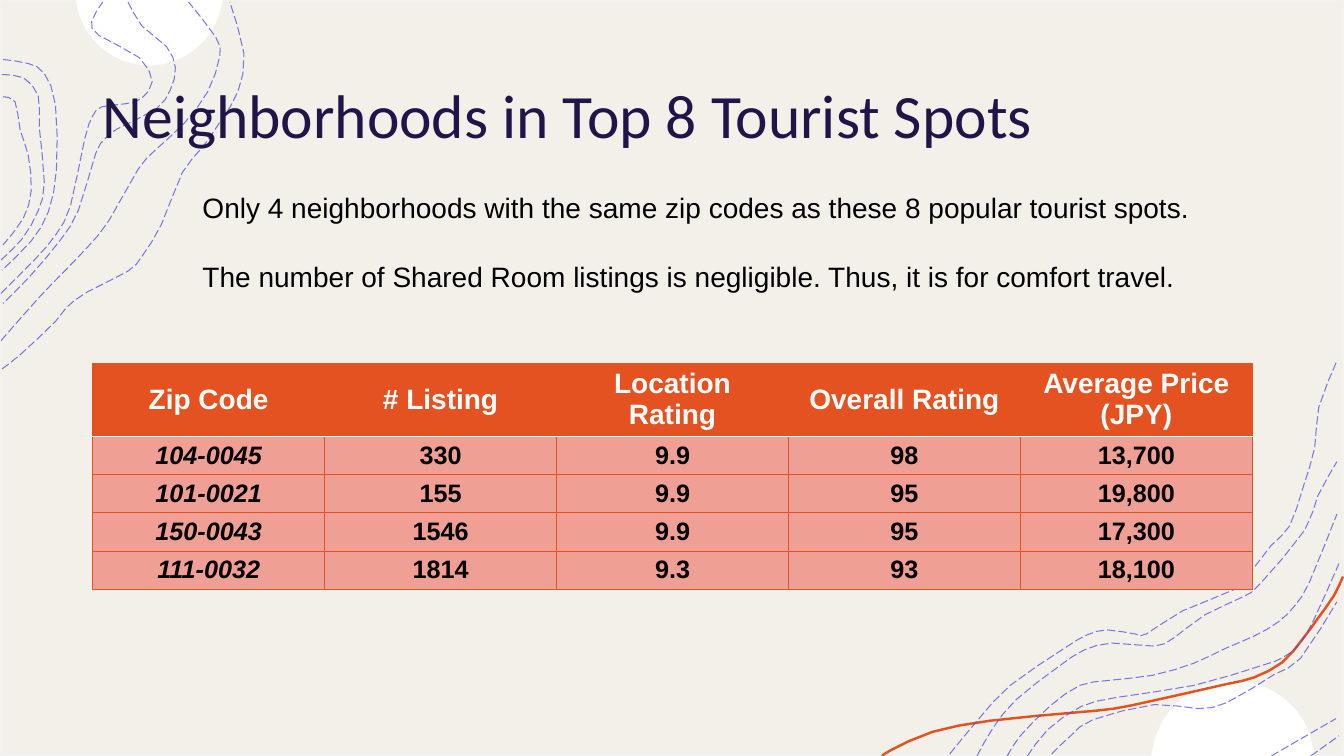
from dataclasses import dataclass
from math import cos, radians, sin
from typing import Optional

from lxml.etree import SubElement
from pptx import Presentation
from pptx.dml.color import RGBColor
from pptx.enum.dml import MSO_LINE_DASH_STYLE as DASH
from pptx.enum.shapes import MSO_SHAPE as SHAPE
from pptx.enum.text import MSO_ANCHOR as ANCHOR, PP_ALIGN as ALIGN
from pptx.oxml import parse_xml
from pptx.oxml.ns import nsdecls, qn
from pptx.util import Inches, Pt

Point = tuple[float, float]

WIDTH, HEIGHT = 13.33, 7.5
CREAM = RGBColor(0xF3, 0xF0, 0xE9)
PALE_GREY = RGBColor(0xF2, 0xF2, 0xF2)
WHITE = RGBColor(0xFF, 0xFF, 0xFF)
BLACK = RGBColor(0, 0, 0)
ORANGE = RGBColor(0xE4, 0x52, 0x21)
SALMON = RGBColor(0xEF, 0x9F, 0x94)
NAVY = RGBColor(0x20, 0x14, 0x49)
VIOLET = RGBColor(0x4D, 0x4E, 0xE6)


@dataclass
class Disc:
    """The half of a disc that begins at an angle in degrees."""
    x: float
    y: float
    radius: float
    start: int


@dataclass
class Curve:
    """A smooth open line through its points."""
    points: list[Point]
    color: RGBColor = VIOLET
    width: float = 0.75
    dashed: bool = True


DISCS = [Disc(1.48, -0.08, 0.73, 0), Disc(12.23, 7.56, 0.81, 180)]

TOP_LEFT_CONTOURS = [
    Curve([(0.02, 3.66), (0.2, 3.52), (0.55, 3.19), (0.66, 3.05), (0.86, 2.9),
           (1.27, 2.69), (1.41, 2.54), (1.6, 2.23), (1.81, 1.71), (2.01, 1.46),
           (2.19, 1.2), (2.36, 0.91), (2.42, 0.53), (2.28, 0.02)]),
    Curve([(0.01, 3.38), (0.38, 2.96), (0.64, 2.69), (0.88, 2.44), (1.08, 2.19),
           (1.37, 1.68), (1.54, 1.49), (1.83, 1.22), (2.06, 0.91), (2.18, 0.56),
           (2.14, 0.37), (1.87, 0.02)]),
    Curve([(1.27, 0.02), (1.41, 0.26), (1.65, 0.46), (1.74, 0.67), (1.69, 0.89),
           (1.55, 1.08), (1.16, 1.28), (1.04, 1.38), (0.95, 1.52), (0.78, 2.08),
           (0.6, 2.38), (0.28, 2.76), (0.03, 3.01)]),
    Curve([(0.01, 2.91), (0.35, 2.57), (0.56, 2.32), (0.7, 2.04), (0.84, 1.38),
           (0.92, 1.15), (1.01, 1.06), (1.24, 1.03), (1.4, 0.98), (1.51, 0.81),
           (1.38, 0.57), (0.98, 0.35), (0.91, 0.21), (1.02, 0.02)]),
    Curve([(0.03, 0.59), (0.28, 0.63), (0.44, 0.73), (0.55, 1.04), (0.56, 1.68),
           (0.48, 2.1), (0.31, 2.39), (0.02, 2.68)]),
    Curve([(0.02, 0.74), (0.23, 0.77), (0.38, 0.95), (0.39, 1.26), (0.44, 1.81),
           (0.38, 2.09), (0.22, 2.37), (0.01, 2.58)]),
    Curve([(0.03, 0.96), (0.15, 1.01), (0.2, 1.29), (0.28, 1.54), (0.31, 1.89),
           (0.23, 2.17), (0.03, 2.43)]),
]

BOTTOM_RIGHT_CONTOURS = [
    Curve([(9.42, 7.48), (9.71, 7.13), (10.02, 6.8), (10.56, 6.43), (10.78, 6.3),
           (10.98, 6.25), (11.26, 6.29), (11.37, 6.29), (11.73, 6.06), (12.24, 5.85),
           (12.4, 5.68), (12.61, 5.41), (12.79, 5.22), (12.92, 4.85), (13.04, 4.44),
           (13.08, 4.04), (13.26, 3.58)]),
    Curve([(9.69, 7.5), (9.85, 7.22), (10.08, 6.94), (10.49, 6.62), (10.75, 6.45),
           (11.03, 6.38), (11.45, 6.41), (11.64, 6.33), (11.95, 6.1), (12.33, 5.92),
           (12.5, 5.79), (12.94, 5.26), (13.07, 4.92), (13.26, 4.58)]),
    Curve([(13, 7.5), (13.28, 7.3)]),
    Curve([(12.61, 7.5), (13.25, 7.13)]),
    Curve([(10.43, 7.48), (10.63, 7.29), (10.84, 7.14), (11.45, 6.99), (11.88, 7.03),
           (12.17, 6.97), (12.64, 6.69), (12.9, 6.53), (13.26, 5.97)]),
    Curve([(10.19, 7.5), (10.39, 7.24), (10.72, 7.01), (11.07, 6.92), (11.84, 6.8),
           (12.52, 6.6), (12.71, 6.53), (12.88, 6.4), (13.03, 6.15), (13.28, 5.59)]),
    Curve([(9.99, 7.5), (10.12, 7.3), (10.42, 7), (10.71, 6.8), (11, 6.75),
           (11.43, 6.7), (11.84, 6.58), (12.16, 6.43), (12.44, 6.31), (12.68, 6.17),
           (12.85, 6), (12.99, 5.77), (13.26, 5.1)]),
]

ORANGE_CURVE = Curve(
    [(8.75, 7.5), (8.84, 7.44), (9.25, 7.26), (9.82, 7.15), (10.65, 7.07),
     (11.05, 7.03), (11.44, 6.95), (12.15, 6.79), (12.44, 6.72), (12.72, 6.57),
     (12.92, 6.34), (13.06, 6.15), (13.23, 5.91), (13.32, 5.72)], ORANGE, 1.75, False)

TABLE_ROWS = [
    ["Zip Code", "# Listing", "Location Rating", "Overall Rating", "Average Price (JPY)"],
    ["104-0045", "330", "9.9", "98", "13,700"],
    ["101-0021", "155", "9.9", "95", "19,800"],
    ["150-0043", "1546", "9.9", "95", "17,300"],
    ["111-0032", "1814", "9.3", "93", "18,100"],
]


def smooth(points: list[Point]) -> list[Point]:
    """Add the Catmull-Rom midpoint between neighbours."""
    ends = [points[0], *points, points[-1]]
    result = [points[0]]
    for a, b, c, d in zip(ends, ends[1:], ends[2:], ends[3:]):
        x, y = ((9 * (q + r) - p - s) / 16 for p, q, r, s in zip(a, b, c, d))
        result += [(x, y), c]
    return result


def add_outline(shapes, points: list[Point], close: bool):
    start, *rest = [(Inches(x), Inches(y)) for x, y in points]
    builder = shapes.build_freeform(*start)
    builder.add_line_segments(rest, close=close)
    sp = builder.convert_to_shape()
    sp.shadow.inherit = False
    return sp


def add_disc(shapes, disc: Disc) -> None:
    """A white disc cut off at the slide's edge."""
    points = [(disc.x + disc.radius * cos(radians(a)),
               min(max(disc.y + disc.radius * sin(radians(a)), 0), HEIGHT))
              for a in range(disc.start, disc.start + 181, 10)]
    sp = add_outline(shapes, points, True)
    sp.fill.solid()
    sp.fill.fore_color.rgb = WHITE
    sp.line.fill.background()


def add_curve(shapes, curve: Curve) -> None:
    sp = add_outline(shapes, smooth(curve.points), False)
    sp.fill.background()
    sp.line.color.rgb = curve.color
    sp.line.width = Pt(curve.width)
    if curve.dashed:
        sp.line.dash_style = DASH.LONG_DASH
        color = sp.line._ln.find(".//" + qn("a:srgbClr"))
        SubElement(color, qn("a:alpha"), val="75000")


def write(p, text: str, *, size: float, color: RGBColor, font: str = "Arial",
          bold: bool = False, italic: bool = False, align: Optional[ALIGN] = None,
          before: float = 0) -> None:
    p.alignment = align
    p.space_before = Pt(before)
    r = p.add_run()
    r.text = text
    r.font.name, r.font.size, r.font.color.rgb = font, Pt(size), color
    r.font.bold, r.font.italic = bold, italic


def add_text_frame(shapes, x: float, y: float, w: float, h: float, anchor: ANCHOR):
    tf = shapes.add_textbox(Inches(x), Inches(y), Inches(w), Inches(h)).text_frame
    tf.word_wrap = True
    tf.vertical_anchor = anchor
    return tf


def set_border(cell, index: int, side: str, color: RGBColor, width: float) -> None:
    cell._tc.get_or_add_tcPr().insert(index, parse_xml(
        f'<a:ln{side} {nsdecls("a")} w="{Pt(width)}"><a:solidFill>'
        f'<a:srgbClr val="{color}"/></a:solidFill></a:ln{side}>'))


def add_ratings_table(shapes) -> None:
    table = shapes.add_table(len(TABLE_ROWS), len(TABLE_ROWS[0]), Inches(0.92),
                             Inches(3.6), Inches(11.5), Inches(2.23)).table
    table.horz_banding = False
    for i, values in enumerate(TABLE_ROWS):
        header = i == 0
        table.rows[i].height = Inches(0.71 if header else 0.38)
        for j, value in enumerate(values):
            cell = table.cell(i, j)
            cell.margin_left = cell.margin_right = Inches(0.15)
            cell.margin_top = cell.margin_bottom = Inches(0.03)
            cell.vertical_anchor = ANCHOR.MIDDLE
            cell.fill.solid()
            cell.fill.fore_color.rgb = ORANGE if header else SALMON
            for k, side in enumerate("LRTB"):
                under_header = (i, side) in [(0, "B"), (1, "T")]
                set_border(cell, k, side, *((WHITE, 1) if under_header else (ORANGE, 0.5)))
            write(cell.text_frame.paragraphs[0], value, size=20 if header else 18,
                  color=WHITE if header else BLACK, bold=True,
                  italic=j == 0 and not header, align=ALIGN.CENTER)


def main() -> None:
    prs = Presentation()
    prs.slide_width, prs.slide_height = Inches(WIDTH), Inches(HEIGHT)
    shapes = prs.slides.add_slide(prs.slide_layouts[6]).shapes

    # Backdrop
    sp = shapes.add_shape(SHAPE.RECTANGLE, 0, 0, prs.slide_width, prs.slide_height)
    sp.shadow.inherit = False
    sp.fill.solid()
    sp.fill.fore_color.rgb = CREAM
    sp.line.color.rgb = PALE_GREY
    sp.line.width = Pt(1)

    # Discs and contour lines
    for disc in DISCS:
        add_disc(shapes, disc)
    add_curve(shapes, ORANGE_CURVE)
    for contours in (TOP_LEFT_CONTOURS, BOTTOM_RIGHT_CONTOURS):
        group = shapes.add_group_shape()
        for curve in contours:
            add_curve(group.shapes, curve)

    # Title, table and remarks
    tf = add_text_frame(shapes, 0.92, 0.4, 11.5, 1.45, ANCHOR.MIDDLE)
    write(tf.paragraphs[0], "Neighborhoods in Top 8 Tourist Spots", size=44,
          color=NAVY, font="Calibri")
    add_ratings_table(shapes)
    tf = add_text_frame(shapes, 1.91, 1.84, 10.51, 1.11, ANCHOR.TOP)
    write(tf.paragraphs[0], "Only 4 neighborhoods with the same zip codes as these 8 "
          "popular tourist spots.", size=20, color=BLACK)
    write(tf.add_paragraph(), "The number of Shared Room listings is negligible. Thus, "
          "it is for comfort travel.", size=20, color=BLACK, before=25)

    prs.save("out.pptx")


if __name__ == "__main__":
    main()
